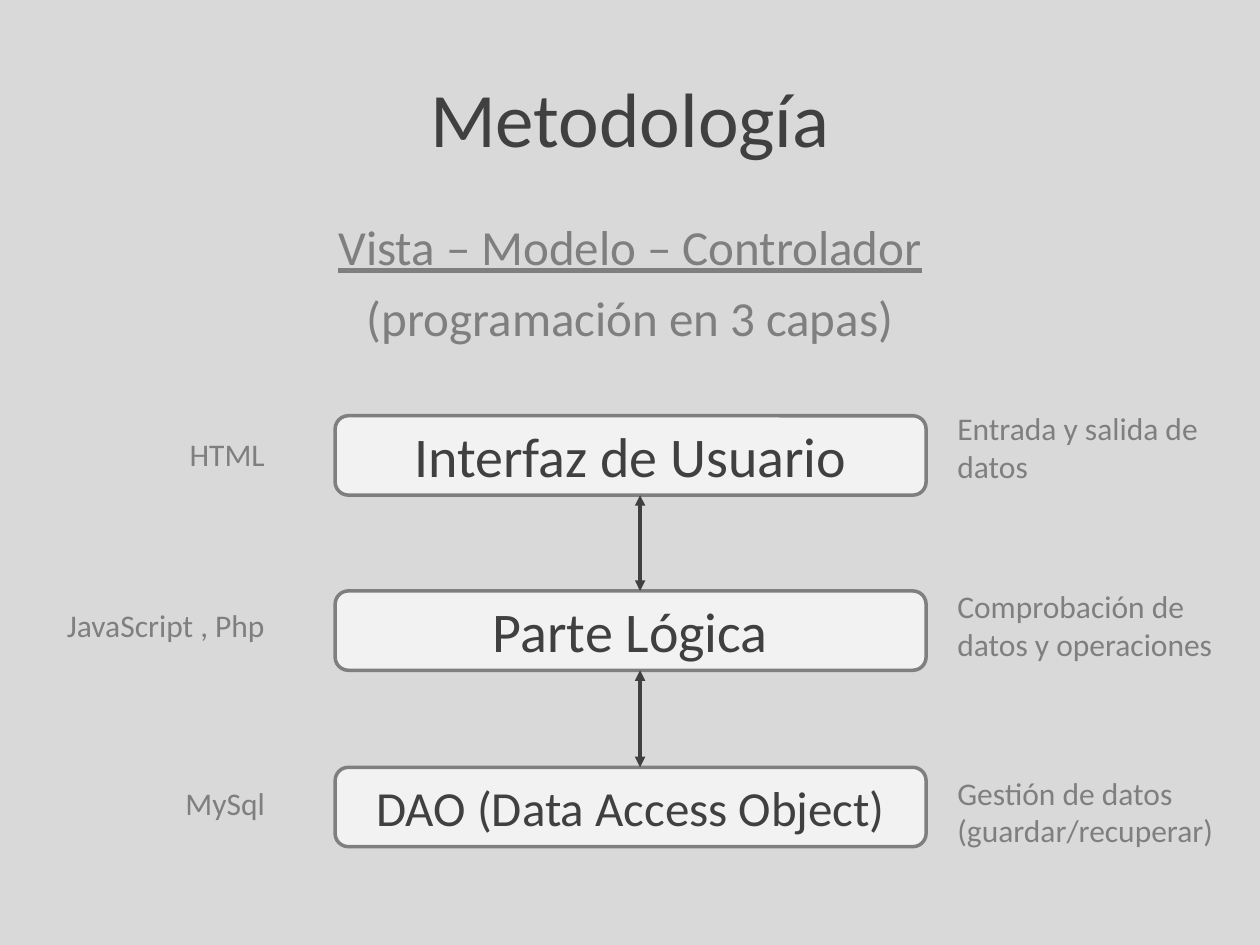
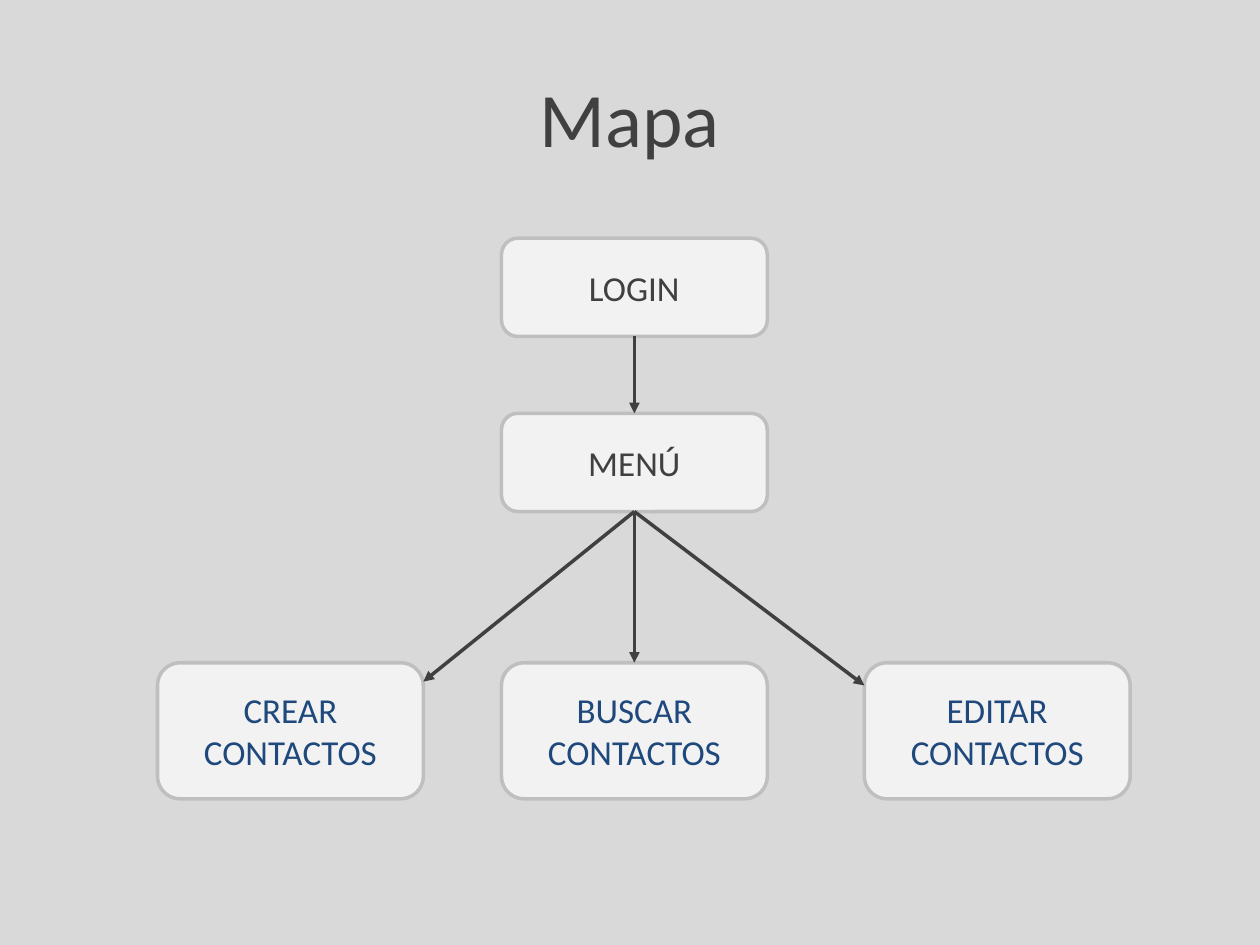
from itertools import pairwise

from lxml import etree
from pptx import Presentation
from pptx.dml.color import RGBColor
from pptx.enum import shapes, text
from pptx.oxml import ns
from pptx.util import Inches, Pt

COLORS = {
    "background": "D9D9D9",
    "box": "F2F2F2",
    "dark": "404040",
    "gray": "7F7F7F",
    "border": "BFBFBF",
    "blue": "1F497D",
}
FONT = "Calibri"
LINE_WIDTH = Pt(2)
ALIGN = text.PP_ALIGN
LAYERS = [
    ("Interfaz de Usuario", 32, 3.3, "HTML", 3.4, "Entrada y salida de datos", 3.2),
    ("Parte Lógica", 32, 4.69, "JavaScript , Php", 4.76,
     "Comprobación de datos y operaciones", 4.61),
    ("DAO (Data Access Object)", 28, 6.09, "MySql", 6.17,
     "Gestión de datos (guardar/recuperar)", 6.09),
]
LAYER_HEIGHT = 0.63
MAP_LEFT, MAP_WIDTH = 3.98, 2.11
STEP_HEIGHT, ACTION_TOP, ACTION_HEIGHT = 0.78, 5.26, 1.08


def color(name):
    return RGBColor.from_string(COLORS[name])


def format_text(frame, size, color_name, align):
    for paragraph in frame.paragraphs:
        paragraph.alignment = align
        for run in paragraph.runs:
            run.font.name = FONT
            run.font.size = Pt(size)
            run.font.color.rgb = color(color_name)


def add_titled_slide(presentation, title):
    slide = presentation.slides.add_slide(presentation.slide_layouts[5])
    shape = slide.shapes.title
    shape.left, shape.top = Inches(0.5), Inches(0.3)
    shape.width, shape.height = Inches(9), Inches(1.25)
    shape.text_frame.text = title
    shape.text_frame.vertical_anchor = text.MSO_ANCHOR.MIDDLE
    format_text(shape.text_frame, 44, "dark", ALIGN.CENTER)
    return slide


def add_box(slide, label, position, size, color_name, border):
    shape = slide.shapes.add_shape(
        shapes.MSO_SHAPE.ROUNDED_RECTANGLE, *map(Inches, position))
    shape.shadow.inherit = False
    shape.fill.solid()
    shape.fill.fore_color.rgb = color("box")
    shape.line.color.rgb = color(border)
    shape.line.width = LINE_WIDTH
    frame = shape.text_frame
    frame.margin_top = frame.margin_bottom = 0
    frame.vertical_anchor = text.MSO_ANCHOR.MIDDLE
    frame.text = label
    format_text(frame, size, color_name, ALIGN.CENTER)


def add_label(slide, label, position, size, align):
    frame = slide.shapes.add_textbox(*map(Inches, position)).text_frame
    frame.word_wrap = True
    frame.text = label
    format_text(frame, size, "gray", align)
    return frame


def add_arrow(slide, start, end, both_ends=False):
    connector = slide.shapes.add_connector(
        shapes.MSO_CONNECTOR.STRAIGHT, *map(Inches, (*start, *end)))
    connector.line.color.rgb = color("dark")
    connector.line.width = LINE_WIDTH
    line = connector.line._get_or_add_ln()
    for tag in ("a:headEnd", "a:tailEnd") if both_ends else ("a:tailEnd",):
        etree.SubElement(line, ns.qn(tag), type="triangle")
    etree.SubElement(connector._element.spPr, ns.qn("a:effectLst"))


def build_methodology(presentation):
    slide = add_titled_slide(presentation, "Metodología")
    subtitle = add_label(
        slide, "Vista – Modelo – Controlador\n(programación en 3 capas)",
        (0.5, 1.67, 9, 1.15), 28, ALIGN.CENTER)
    subtitle.paragraphs[0].runs[0].font.underline = True
    subtitle.paragraphs[1].space_before = Pt(7)

    for name, size, top, technology, technology_top, task, task_top in LAYERS:
        add_box(slide, name, (2.66, top, 4.69, LAYER_HEIGHT), size, "dark", "gray")
        add_label(slide, technology, (0.2, technology_top, 2, 0.4), 18, ALIGN.RIGHT)
        add_label(slide, task, (7.5, task_top, 2.5, 0.7), 18, ALIGN.LEFT)

    tops = [layer[2] for layer in LAYERS]
    for upper, lower in pairwise(tops):
        add_arrow(slide, (5.08, upper + LAYER_HEIGHT), (5.08, lower), both_ends=True)


def build_map(presentation):
    slide = add_titled_slide(presentation, "Mapa")
    login_top, menu_top = 1.89, 3.28
    for label, top in (("LOGIN", login_top), ("MENÚ", menu_top)):
        add_box(slide, label, (MAP_LEFT, top, MAP_WIDTH, STEP_HEIGHT),
                20, "dark", "border")

    center = MAP_LEFT + MAP_WIDTH / 2
    add_arrow(slide, (center, login_top + STEP_HEIGHT), (center, menu_top))
    actions = [
        ("CREAR CONTACTOS", 1.25, (1.25 + MAP_WIDTH, 5.41)),
        ("BUSCAR CONTACTOS", MAP_LEFT, (center, ACTION_TOP)),
        ("EDITAR CONTACTOS", 6.86, (6.86, 5.44)),
    ]
    for label, left, target in actions:
        add_box(slide, label, (left, ACTION_TOP, MAP_WIDTH, ACTION_HEIGHT),
                20, "blue", "border")
        add_arrow(slide, (center, menu_top + STEP_HEIGHT), target)


def main():
    presentation = Presentation()
    presentation.slide_width, presentation.slide_height = Inches(10), Inches(7.5)
    background = presentation.slide_master.background.fill
    background.solid()
    background.fore_color.rgb = color("background")
    build_methodology(presentation)
    build_map(presentation)
    presentation.save("out.pptx")


if __name__ == "__main__":
    main()
